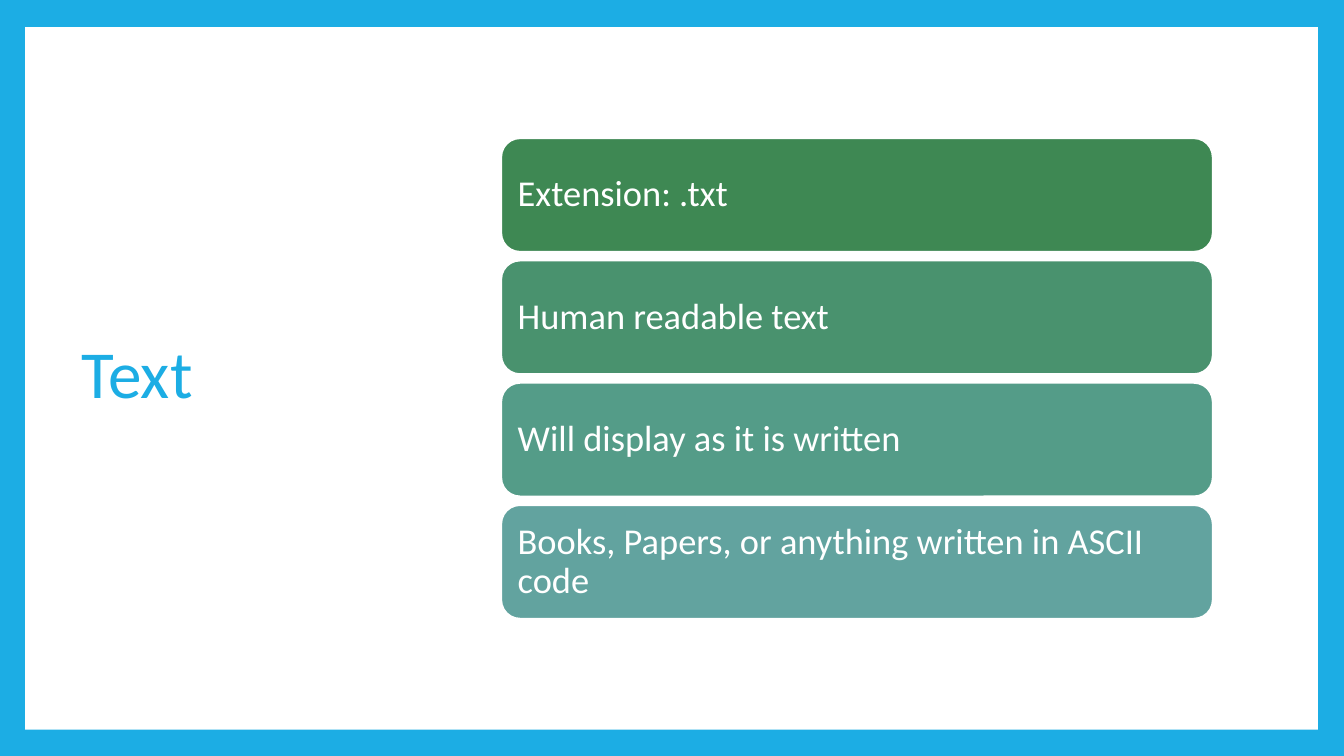
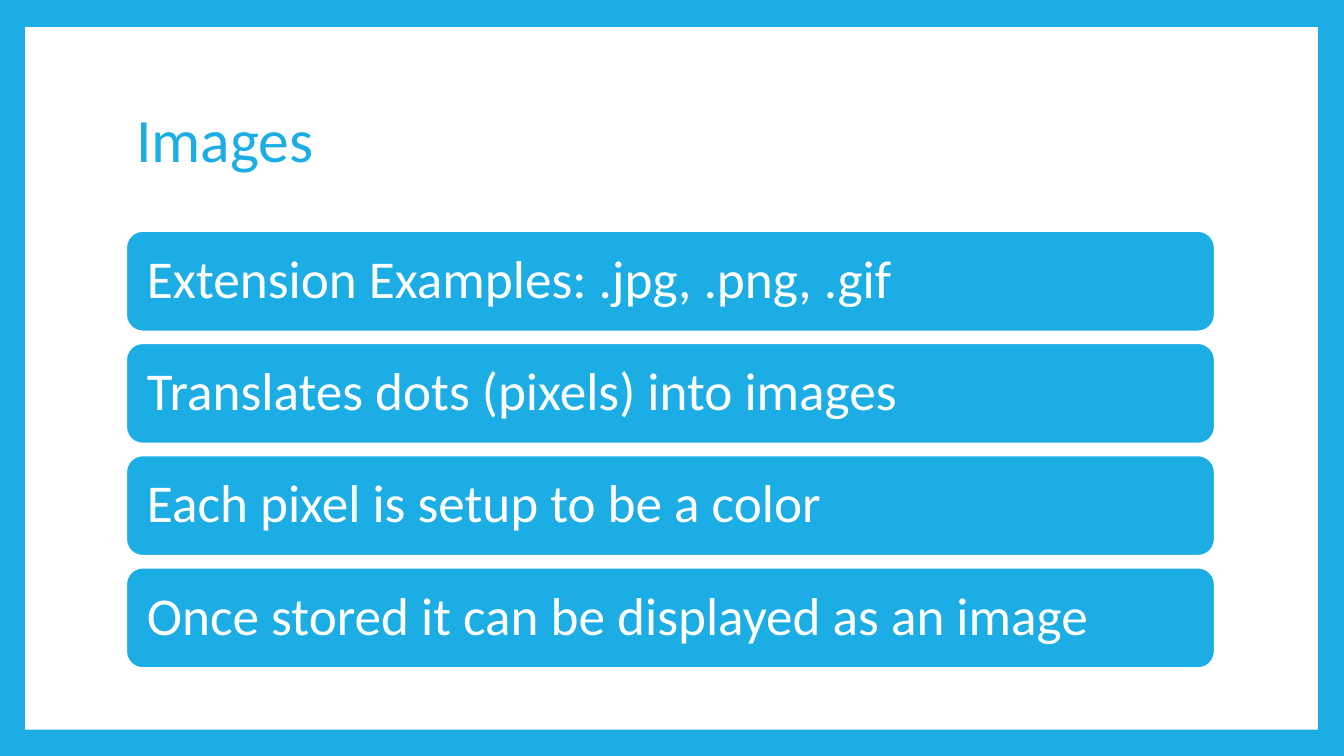
from pptx import Presentation
from pptx.dml.color import RGBColor
from pptx.enum.shapes import MSO_SHAPE as SHAPE
from pptx.enum.text import MSO_ANCHOR as ANCHOR, MSO_AUTO_SIZE as AUTO_SIZE, PP_ALIGN as ALIGN
from pptx.util import Inches, Pt

BLUE, WHITE = "1CADE4", "FFFFFF"
GREENS = ["3E8853", "49926E", "549C88", "62A39F"]
FONT = "Calibri"


def rgb(color):
    return RGBColor.from_string(color)


def write(sp, text, size, color, inset=None):
    """Fill a shape with one left-aligned, vertically centred paragraph."""
    tf = sp.text_frame
    tf.word_wrap = True
    tf.auto_size = AUTO_SIZE.NONE
    tf.vertical_anchor = ANCHOR.MIDDLE
    if inset is not None:
        tf.margin_left = tf.margin_right = Inches(inset)
        tf.margin_top = tf.margin_bottom = Inches(inset)
    p = tf.paragraphs[0]
    p.alignment = ALIGN.LEFT
    p.line_spacing = 0.9
    r = p.add_run()
    r.text = text
    r.font.name = FONT
    r.font.size = Pt(size)
    r.font.color.rgb = rgb(color)


class Deck:
    def __init__(self):
        self.prs = Presentation()
        self.prs.slide_width = Inches(13.33)
        self.prs.slide_height = Inches(7.5)
        self.slide = None
        fill = self.prs.slide_master.background.fill
        fill.solid()
        fill.fore_color.rgb = rgb(BLUE)

    def new_slide(self):
        """Start a title-only slide with the white panel behind everything."""
        self.slide = self.prs.slides.add_slide(self.prs.slide_layouts[5])
        panel = self.shape(SHAPE.RECTANGLE, 0.25, 0.27, 12.82, 6.97, WHITE)
        self.slide.shapes._spTree.insert(2, panel._element)

    def shape(self, kind, left, top, width, height, fill, line=None):
        sp = self.slide.shapes.add_shape(
            kind, Inches(left), Inches(top), Inches(width), Inches(height))
        sp.shadow.inherit = False
        sp.fill.solid()
        sp.fill.fore_color.rgb = rgb(fill)
        if line:
            sp.line.color.rgb = rgb(line)
            sp.line.width = Pt(1.5)
        else:
            sp.line.fill.background()
        return sp

    def title(self, text, left, top, width, height, size):
        sp = self.slide.shapes.title
        sp.left, sp.top = Inches(left), Inches(top)
        sp.width, sp.height = Inches(width), Inches(height)
        write(sp, text, size, BLUE)

    def bars(self, texts, colors, left, top, width, height, bottom, size, inset):
        """Stack equal rounded bars evenly between top and bottom."""
        pitch = (bottom - top - height) / (len(texts) - 1)
        for i, (text, color) in enumerate(zip(texts, colors)):
            sp = self.shape(SHAPE.ROUNDED_RECTANGLE, left, top + i * pitch,
                            width, height, color, line=WHITE)
            write(sp, text, size, WHITE, inset)


def main():
    deck = Deck()

    deck.new_slide()
    deck.title("Text", 0.71, 0.67, 3.68, 6.13, size=48)
    deck.bars(["Extension: .txt",
               "Human readable text",
               "Will display as it is written",
               "Books, Papers, or anything written in ASCII code"],
              GREENS, 4.97, 1.37, 7.06, 1.13, bottom=6.14, size=26, inset=0.11)

    deck.new_slide()
    deck.title("Images", 1.25, 0.67, 10.8, 1.48, size=44)
    deck.bars(["Extension Examples: .jpg, .png, .gif",
               "Translates dots (pixels) into images",
               "Each pixel is setup to be a color",
               "Once stored it can be displayed as an image"],
              [BLUE] * 4, 1.25, 2.29, 10.8, 1, bottom=6.63, size=38, inset=0.16)

    deck.prs.save("out.pptx")


if __name__ == "__main__":
    main()
